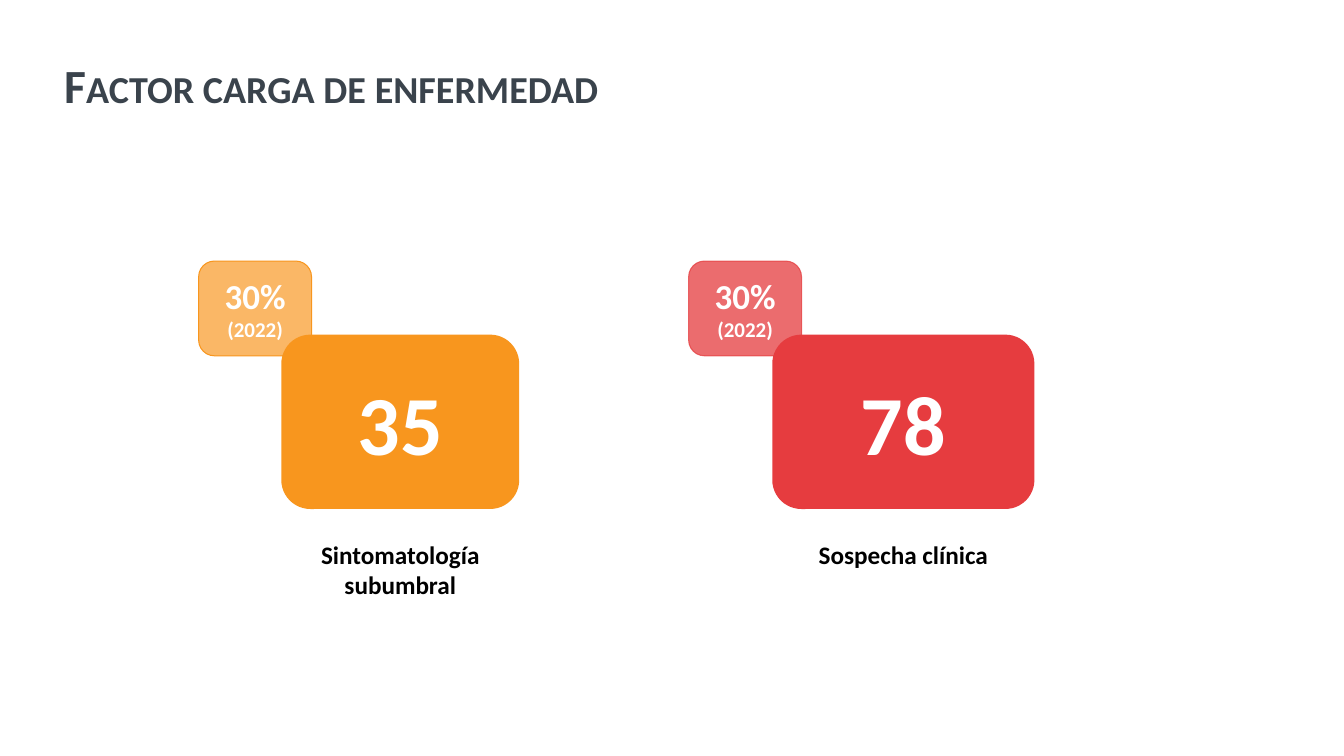
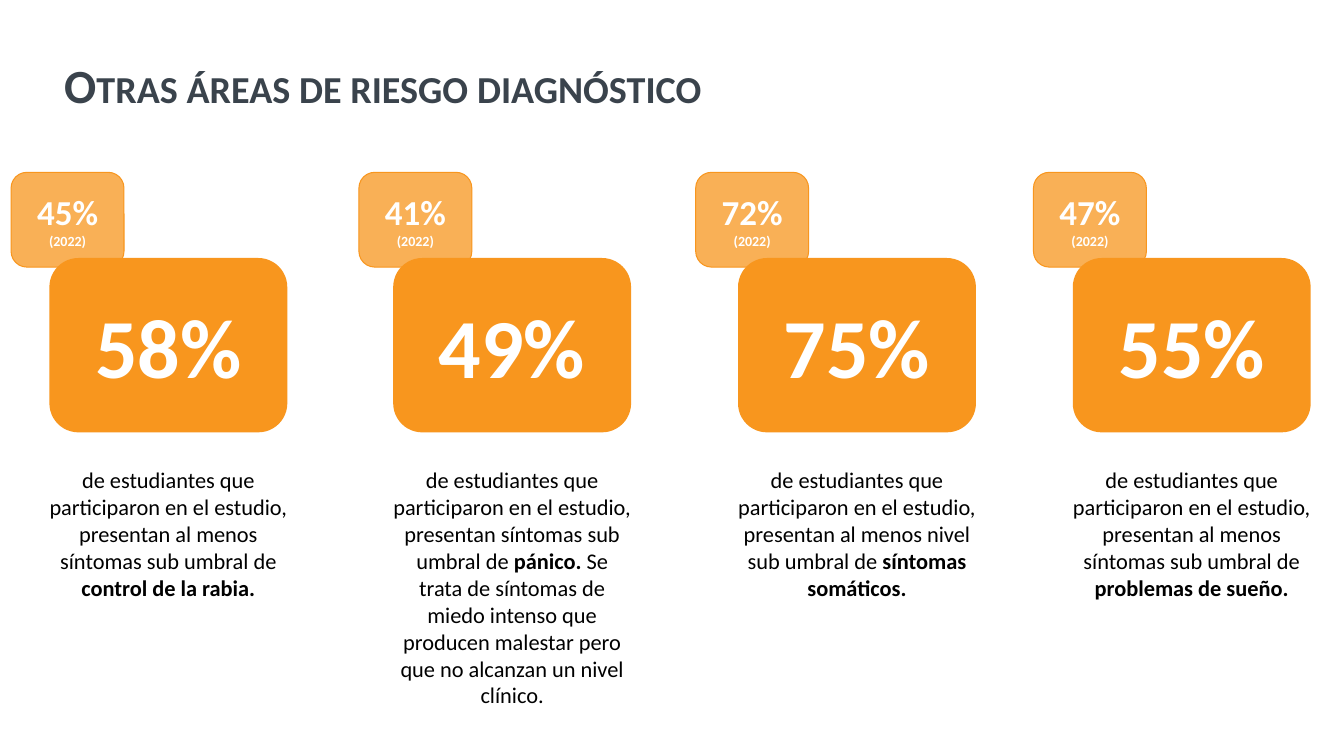
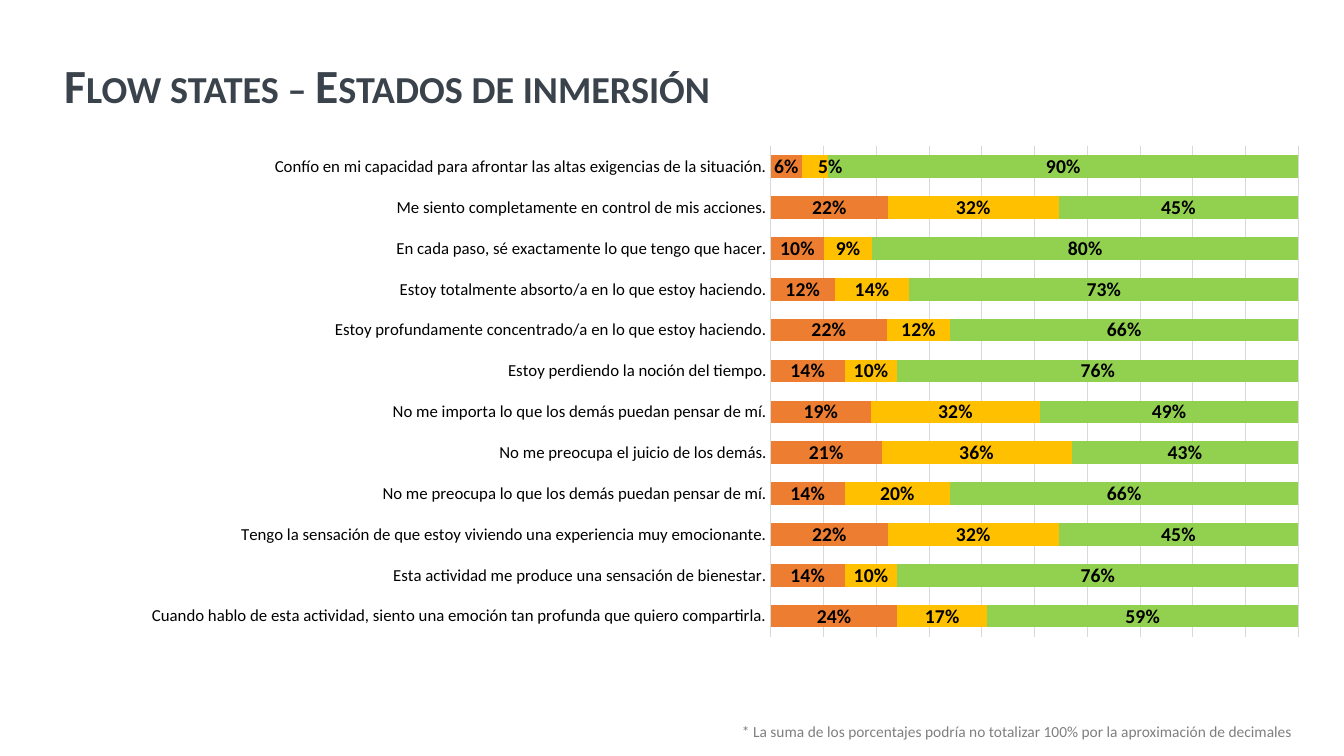
import pptx
import pptx.util
import pptx.dml.color
import pptx.chart.data
import pptx.enum.chart
import pptx.enum.shapes
import pptx.enum.text
import pptx.oxml
import pptx.oxml.ns

Inches, Pt = pptx.util.Inches, pptx.util.Pt
ANCHOR, ALIGN = pptx.enum.text.MSO_ANCHOR, pptx.enum.text.PP_ALIGN

FONT = "Calibri"
COLORS = {
    "title": "3A434C", "text": "000000", "white": "FFFFFF", "note": "7F7F7F",
    "orange": "F8961E", "light_orange": "F99F33", "red": "E63C3F", "dark_red": "E53C3E",
    "low": "ED7D31", "mid": "FFC000", "high": "92D050", "grid": "D9D9D9", "chart": "56565A",
}
CARD_H, BADGE_W, BADGE_H = 1.73, 1.12, 0.94

BURDEN = {
    "title": "Factor carga de enfermedad",
    "card_top": 3.32, "badge_top": 2.59, "year_size": 15,
    "caption_top": 5.3, "caption_size": 18, "caption_w": 2.89, "caption_h": 0.4,
    "cards": [
        {"x": 2.79, "w": 2.36, "value": "35", "color": "orange",
         "badge": (1.97, "30%", "light_orange", "orange", 100),
         "caption": [("Sintomatología subumbral", True)]},
        {"x": 7.66, "w": 2.6, "value": "78", "color": "red",
         "badge": (6.83, "30%", "dark_red", "dark_red", 75),
         "caption": [("Sospecha clínica", True)]},
    ],
}

STUDY = "de estudiantes que participaron en el estudio, presentan "
RISK_CARDS = [
    (0.49, 0.11, "58%", "45%", [(STUDY + "al menos síntomas sub umbral de ", False),
                                ("control de la rabia.", True)]),
    (3.9, 3.56, "49%", "41%", [(STUDY + "síntomas sub umbral de ", False),
                               ("pánico. ", True),
                               ("Se trata de síntomas de miedo intenso que producen malestar "
                                "pero que no alcanzan un nivel clínico.", False)]),
    (7.32, 6.9, "75%", "72%", [(STUDY + "al menos nivel sub umbral de ", False),
                               ("síntomas somáticos.", True)]),
    (10.64, 10.25, "55%", "47%", [(STUDY + "al menos síntomas sub umbral de ", False),
                                  ("problemas de sueño.", True)]),
]
RISK = {
    "title": "Otras áreas de riesgo diagnóstico",
    "card_top": 2.56, "badge_top": 1.71, "year_size": 10,
    "caption_top": 4.58, "caption_size": 16, "caption_w": 2.56, "caption_h": 1.45,
    "cards": [
        {"x": x, "w": 2.36, "value": value, "color": "orange",
         "badge": (badge_x, previous, "orange", "orange", 100), "caption": caption}
        for x, badge_x, value, previous, caption in RISK_CARDS
    ],
}

FLOW_TITLE = "Flow states – Estados de inmersión"
FLOW_NOTE = "* La suma de los porcentajes podría no totalizar 100% por la aproximación de decimales"
FLOW_SERIES = [("Series 1", "low"), ("Series 2", "mid"), ("Series 3", "high")]
FLOW_ROWS = [
    ("Confío en mi capacidad para afrontar las altas exigencias de la situación.", 6, 5, 90),
    ("Me siento completamente en control de mis acciones.", 22, 32, 45),
    ("En cada paso, sé exactamente lo que tengo que hacer.", 10, 9, 80),
    ("Estoy totalmente absorto/a en lo que estoy haciendo.", 12, 14, 73),
    ("Estoy profundamente concentrado/a en lo que estoy haciendo.", 22, 12, 66),
    ("Estoy perdiendo la noción del tiempo.", 14, 10, 76),
    ("No me importa lo que los demás puedan pensar de mí.", 19, 32, 49),
    ("No me preocupa el juicio de los demás.", 21, 36, 43),
    ("No me preocupa lo que los demás puedan pensar de mí.", 14, 20, 66),
    ("Tengo la sensación de que estoy viviendo una experiencia muy emocionante.", 22, 32, 45),
    ("Esta actividad me produce una sensación de bienestar.", 14, 10, 76),
    ("Cuando hablo de esta actividad, siento una emoción tan profunda que quiero compartirla.",
     24, 17, 59),
]


def rgb(name):
    return pptx.dml.color.RGBColor.from_string(COLORS[name])


def style_font(font, size, color, bold=False):
    font.name, font.size, font.bold = FONT, Pt(size), bold
    font.color.rgb = rgb(color)


def fill_text(shape, paragraphs, color, align=ALIGN.CENTER, anchor=ANCHOR.MIDDLE, spacing=None):
    """Write paragraphs, each a list of (text, size, bold) runs."""
    tf = shape.text_frame
    tf.word_wrap, tf.vertical_anchor = True, anchor
    for i, runs in enumerate(paragraphs):
        p = tf.add_paragraph() if i else tf.paragraphs[0]
        p.alignment, p.line_spacing = align, spacing
        for text, size, bold in runs:
            r = p.add_run()
            r.text = text
            style_font(r.font, size, color, bold)


def add_text(s, box, paragraphs, color, **layout):
    tb = s.shapes.add_textbox(*map(Inches, box))
    fill_text(tb, paragraphs, color, **layout)
    return tb


def set_alpha(part, percent):
    for clr in part.xpath(".//a:srgbClr"):
        alpha = clr.makeelement(pptx.oxml.ns.qn("a:alpha"), {"val": str(percent * 1000)})
        clr.append(alpha)


def add_rounded(s, box, color, paragraphs):
    sp = s.shapes.add_shape(pptx.enum.shapes.MSO_SHAPE.ROUNDED_RECTANGLE, *map(Inches, box))
    sp.shadow.inherit = False
    sp.fill.solid()
    sp.fill.fore_color.rgb = rgb(color)
    sp.line.fill.background()
    fill_text(sp, paragraphs, "white")
    return sp


def add_badge(s, box, value, year_size, fill, line, line_alpha):
    sp = add_rounded(s, box, fill, [[(value, 25, True)], [("(2022)", year_size, True)]])
    set_alpha(sp._element.spPr, 75)
    sp.line.color.rgb = rgb(line)
    sp.line.width = Pt(0.75)
    if line_alpha < 100:
        set_alpha(sp.line._ln, line_alpha)


def new_slide(prs, title):
    s = prs.slides.add_slide(prs.slide_layouts[6])
    tb = add_text(s, (0.54, 0.4, 12.73, 0.94), [[(title, 34, True)]], "title",
                  align=ALIGN.LEFT, spacing=0.9)
    tb.text_frame.paragraphs[0].runs[0].font._element.set("cap", "small")
    return s


def build_cards(prs, content):
    s = new_slide(prs, content["title"])
    for card in content["cards"]:
        x, w = card["x"], card["w"]
        badge_x, value, *colors = card["badge"]
        add_badge(s, (badge_x, content["badge_top"], BADGE_W, BADGE_H),
                  value, content["year_size"], *colors)
        add_rounded(s, (x, content["card_top"], w, CARD_H), card["color"],
                    [[(card["value"], 60, True)]])
        caption_w = content["caption_w"]
        runs = [(text, content["caption_size"], bold) for text, bold in card["caption"]]
        add_text(s, (x + (w - caption_w) / 2, content["caption_top"],
                     caption_w, content["caption_h"]), [runs], "text", anchor=ANCHOR.TOP)


def manual_layout(target="", **values):
    """Return a c:layout element; target is 'inner' for a plot area."""
    head = ('<c:layoutTarget val="inner"/><c:xMode val="edge"/><c:yMode val="edge"/>'
            if target else "")
    body = "".join(f'<c:{k} val="{v}"/>' for k, v in values.items())
    return pptx.oxml.parse_xml(
        f'<c:layout {pptx.oxml.ns.nsdecls("c")}><c:manualLayout>{head}{body}'
        "</c:manualLayout></c:layout>")


def style_axes(chart):
    cat, val = chart.category_axis, chart.value_axis
    tick = pptx.enum.chart.XL_TICK_MARK.NONE
    cat.reverse_order = True
    cat.major_tick_mark = cat.minor_tick_mark = tick
    style_font(cat.tick_labels.font, 12, "text")
    val.visible = False
    val.minimum_scale, val.maximum_scale, val.major_unit = 0, 1, 0.1
    val.has_major_gridlines = True
    for line in (cat.format.line, val.major_gridlines.format.line):
        line.color.rgb = rgb("grid")
        line.width = Pt(0.75)


def build_flow(prs):
    s = new_slide(prs, FLOW_TITLE)
    labels, *columns = zip(*FLOW_ROWS)
    data = pptx.chart.data.CategoryChartData(number_format="0%")
    data.categories = labels
    for (name, _), column in zip(FLOW_SERIES, columns):
        data.add_series(name, [v / 100 for v in column])
    chart = s.shapes.add_chart(pptx.enum.chart.XL_CHART_TYPE.BAR_STACKED_100,
                               *map(Inches, (-1.93, 1.4, 15.08, 5.71)), data).chart
    chart.has_legend = chart.has_title = False
    style_font(chart.font, 12, "chart")
    style_axes(chart)

    plot = chart.plots[0]
    plot.gap_width, plot.overlap, plot.vary_by_categories = 80, 100, False
    center = pptx.enum.chart.XL_LABEL_POSITION.CENTER
    for series, (_, color) in zip(plot.series, FLOW_SERIES):
        series.format.fill.solid()
        series.format.fill.fore_color.rgb = rgb(color)
        dl = series.data_labels
        dl.show_value, dl.position = True, center
        dl.number_format, dl.number_format_is_linked = "0%", False
        style_font(dl.font, 14, "text", True)

    # Move the narrow 5% label to the right, clear of its neighbour
    narrow = plot.series[1]
    label = narrow.points[0].data_label
    label.position = center
    style_font(label.font, 14, "text", True)
    narrow._element.xpath(".//c:dLbl/c:idx")[0].addnext(manual_layout(x=0.01, y=0))

    area = chart._chartSpace.xpath(".//c:plotArea")[0]
    for old in area.xpath("./c:layout"):
        area.remove(old)
    area.insert(0, manual_layout("inner", x=0.635, y=0.009, w=0.347, h=0.852))

    add_text(s, (6.56, 7.11, 7.06, 0.31), [[(FLOW_NOTE, 11, False)]], "note", spacing=0.9)


def main():
    prs = pptx.Presentation()
    prs.slide_width, prs.slide_height = Inches(13.33), Inches(7.5)
    for content in (BURDEN, RISK):
        build_cards(prs, content)
    build_flow(prs)
    prs.save("out.pptx")


if __name__ == "__main__":
    main()
